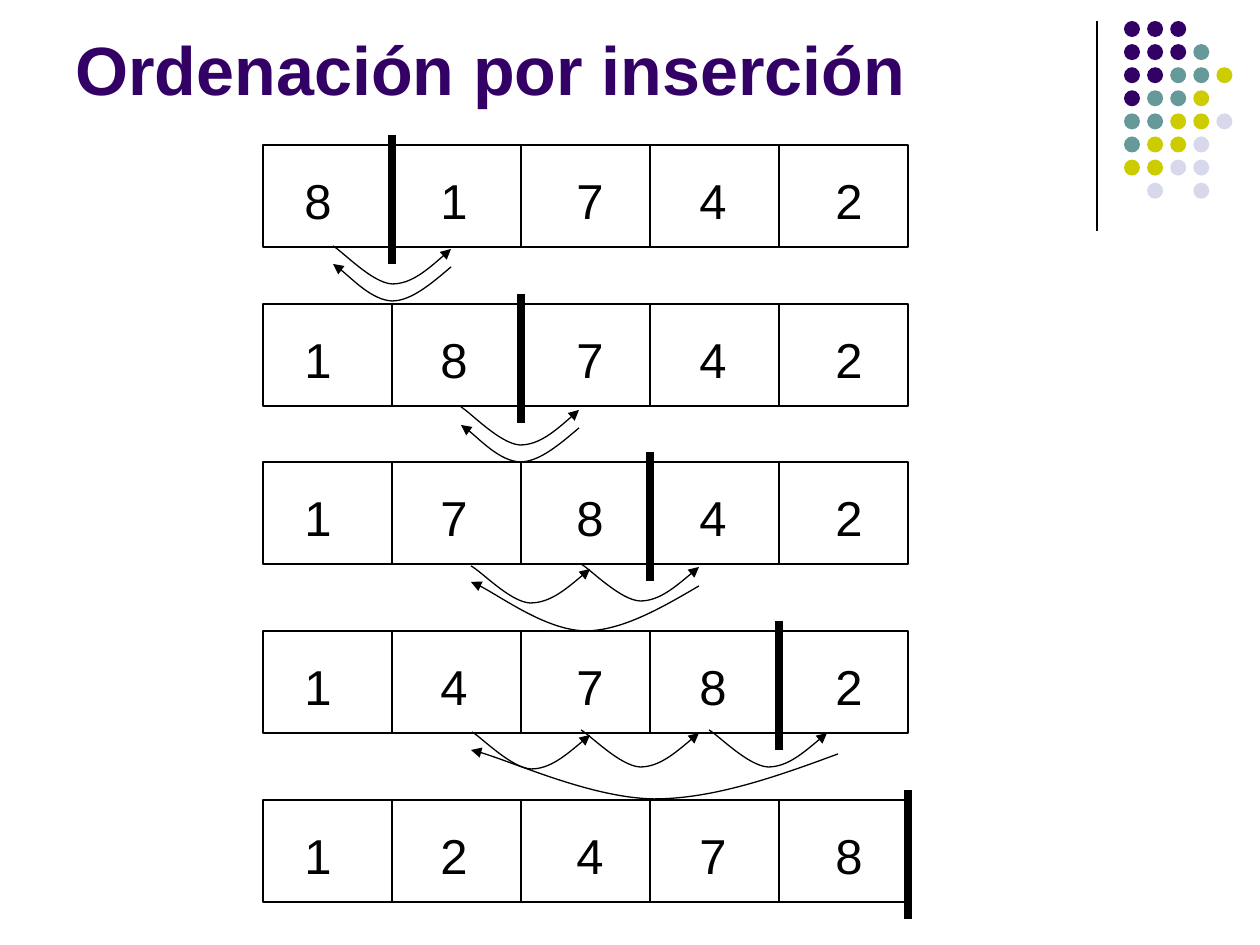
from lxml.etree import SubElement
from pptx import Presentation
from pptx.dml.color import RGBColor
from pptx.enum.shapes import MSO_CONNECTOR, MSO_SHAPE
from pptx.enum.text import MSO_ANCHOR
from pptx.oxml.ns import qn
from pptx.util import Emu, Pt

EMU_PER_PX = 914400 / 126

BLACK = RGBColor(0x00, 0x00, 0x00)
PURPLE = RGBColor(0x33, 0x00, 0x66)
TEAL = RGBColor(0x66, 0x99, 0x99)
OLIVE = RGBColor(0xCC, 0xCC, 0x00)
LAVENDER = RGBColor(0xD8, 0xD8, 0xEC)

TITLE = "Ordenación por inserción"
FONT = "Arial"
THIN, THICK = 0.75, 5

# Each step: top, numbers, count of sorted cells,
# then the arrows leaving and returning as (left, top, width, height).
STEPS = [
    (145, "81742", 1, [(333, 246, 118, 38)], [(333, 264, 118, 37)]),
    (304, "18742", 2, [(461, 407, 118, 38)], [(461, 425, 118, 37)]),
    (462, "17842", 3, [(471, 566, 119, 37), (581, 564, 118, 37)],
     [(471, 582, 228, 49)]),
    (631, "14782", 4, [(472, 732, 118, 37), (581, 730, 118, 37),
                       (709, 730, 118, 37)], [(471, 750, 367, 49)]),
    (800, "12478", 5, [], []),
]
ARRAY_LEFT, CELL_WIDTH, CELL_HEIGHT = 263, 129, 102
NUMBER_TABS = [136, 272, 395, 531]
BAR_OVERHANG, BAR_HEIGHT = 10, 129

# Two joined Bézier pieces, as fractions of the arrow's width and height
ARROW_CURVE = [(0, 0), (0.08, 0.13), (0.33, 0.98), (0.5, 1),
               (0.66, 1), (0.83, 0.55), (1, 0.09)]

DOT_COLORS = {"P": PURPLE, "T": TEAL, "O": OLIVE, "L": LAVENDER}
DOT_ROWS = ["PPP", "PPPT", "PPTTO", "PTTO", "TTOOL", "TOOL", "OOLL", " L L"]
DOT_LEFT, DOT_TOP, DOT_PITCH, DOT_SIZE = 1124, 21, 23.1, 16


def px(value):
    return Emu(round(value * EMU_PER_PX))


def box(*lengths):
    return [px(length) for length in lengths]


def add_vertical_line(shapes, x, top, height, width):
    line = shapes.add_connector(
        MSO_CONNECTOR.STRAIGHT, *box(x, top, x, top + height))
    line.line.color.rgb = BLACK
    line.line.width = Pt(width)
    SubElement(line._element.spPr, qn("a:effectLst"))


def outline(shape):
    shape.shadow.inherit = False
    shape.fill.background()
    shape.line.color.rgb = BLACK
    shape.line.width = Pt(THIN)


def add_text(shapes, place, text, size, color, anchor, bold=False, tabs=()):
    frame = shapes.add_textbox(*box(*place)).text_frame
    frame.word_wrap = True
    frame.vertical_anchor = anchor
    paragraph = frame.paragraphs[0]
    paragraph.text = text
    if tabs:
        tab_list = SubElement(paragraph._p.get_or_add_pPr(), qn("a:tabLst"))
        for tab in tabs:
            SubElement(tab_list, qn("a:tab"), pos=str(px(tab)), algn="l")
    font = paragraph.font
    font.name, font.size, font.bold = FONT, Pt(size), bold
    font.color.rgb = color


def add_curved_arrow(shapes, place, end_tag):
    """Draw the curve left to right; a:tailEnd points right, a:headEnd left."""
    left, top, width, height = place
    points = [(left + x * width, top + y * height) for x, y in ARROW_CURVE]
    builder = shapes.build_freeform(*points[0], scale=EMU_PER_PX)
    builder.add_line_segments(points[1:], close=False)
    arrow = builder.convert_to_shape()
    outline(arrow)
    # Every three straight segments become one cubic Bézier.
    segments = list(arrow._element.iter(qn("a:lnTo")))
    path = segments[0].getparent()
    for first in range(0, len(segments), 3):
        curve = SubElement(path, qn("a:cubicBezTo"))
        for segment in segments[first:first + 3]:
            curve.append(segment[0])
            path.remove(segment)
    SubElement(arrow.line._get_or_add_ln(), qn(end_tag), type="triangle")


def add_step(slide, top, numbers, sorted_count, hops, returns):
    shapes = slide.shapes.add_group_shape().shapes
    count = len(numbers)
    outline(shapes.add_shape(MSO_SHAPE.RECTANGLE, *box(
        ARRAY_LEFT, top, count * CELL_WIDTH, CELL_HEIGHT)))
    for index in range(1, count):
        add_vertical_line(shapes, ARRAY_LEFT + index * CELL_WIDTH, top,
                          CELL_HEIGHT, THIN)
    add_text(shapes, (292, top + 19, 595, 72), "\t".join(numbers), 28, BLACK,
             MSO_ANCHOR.TOP, tabs=NUMBER_TABS)
    for place in hops:
        add_curved_arrow(shapes, place, "a:tailEnd")
    for place in returns:
        add_curved_arrow(shapes, place, "a:headEnd")
    add_vertical_line(shapes, ARRAY_LEFT + sorted_count * CELL_WIDTH,
                      top - BAR_OVERHANG, BAR_HEIGHT, THICK)


def add_dots(slide):
    shapes = slide.shapes.add_group_shape().shapes
    for row, codes in enumerate(DOT_ROWS):
        for column, code in enumerate(codes):
            if code == " ":
                continue
            dot = shapes.add_shape(MSO_SHAPE.OVAL, *box(
                DOT_LEFT + column * DOT_PITCH, DOT_TOP + row * DOT_PITCH,
                DOT_SIZE, DOT_SIZE))
            dot.shadow.inherit = False
            dot.fill.solid()
            dot.fill.fore_color.rgb = DOT_COLORS[code]
            dot.line.fill.background()


def main():
    presentation = Presentation()
    presentation.slide_width, presentation.slide_height = box(1260, 945)
    slide = presentation.slides.add_slide(presentation.slide_layouts[6])
    add_vertical_line(slide.shapes, 1097, 21, 210, THIN)
    add_dots(slide)
    add_text(slide.shapes, (63, 17, 1040, 98), TITLE, 39, PURPLE,
             MSO_ANCHOR.BOTTOM, bold=True)
    for step in STEPS:
        add_step(slide, *step)
    presentation.save("out.pptx")


if __name__ == "__main__":
    main()
